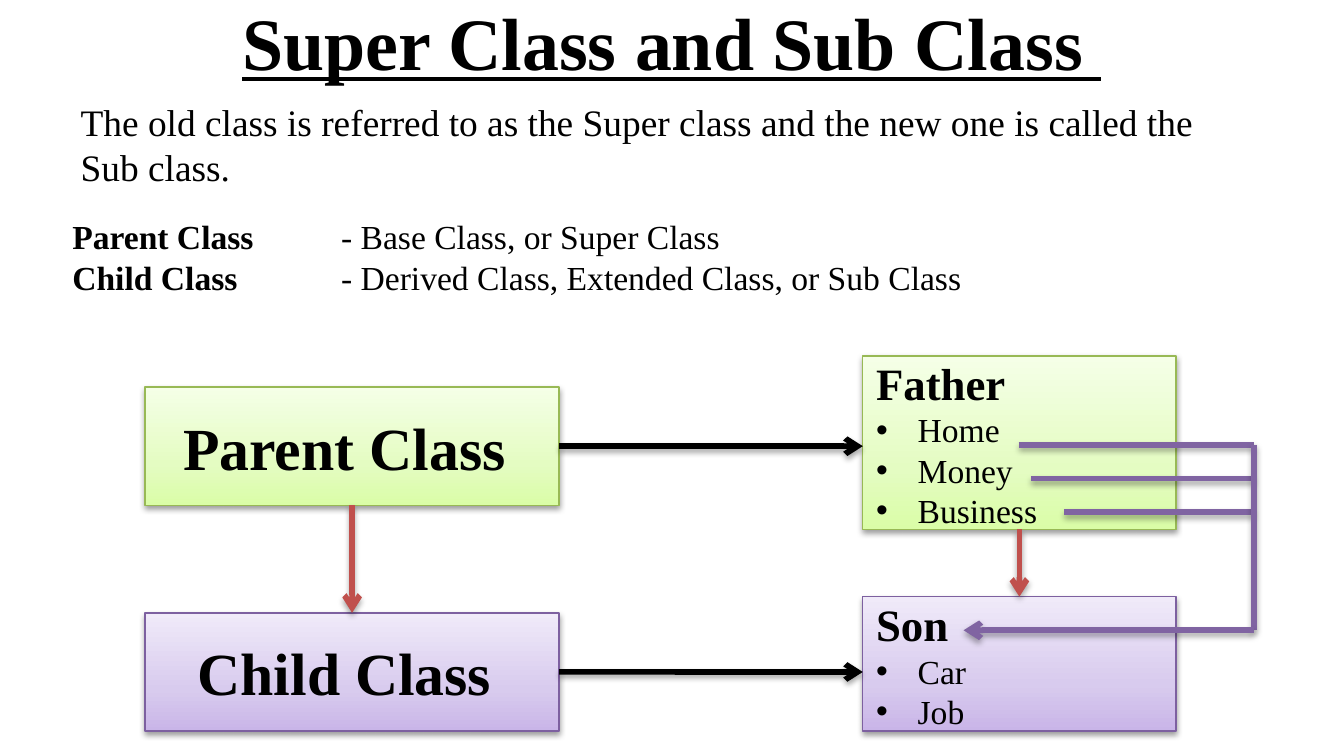
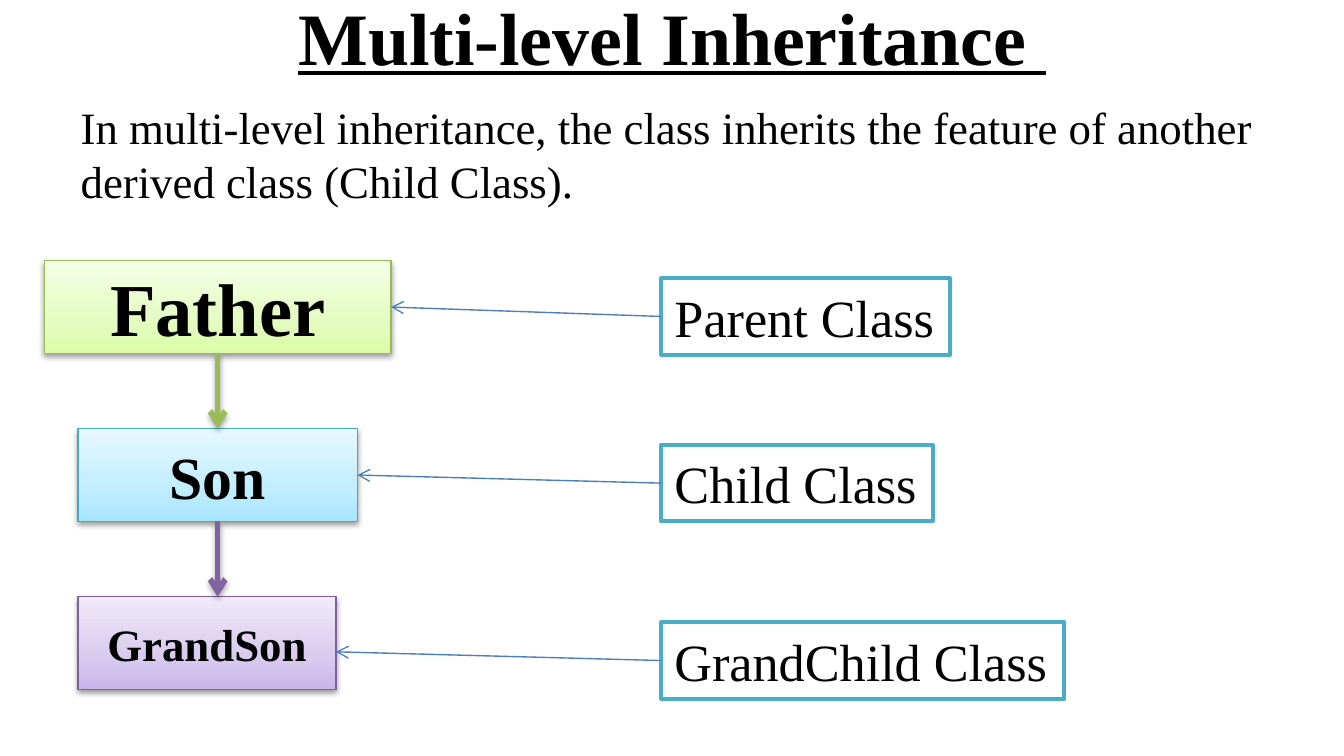
from lxml import etree
from pptx import Presentation
from pptx.dml.color import RGBColor
from pptx.enum.shapes import MSO_CONNECTOR, MSO_SHAPE
from pptx.enum.text import MSO_ANCHOR, MSO_AUTO_SIZE, PP_ALIGN
from pptx.oxml.ns import qn
from pptx.util import Inches, Pt

STRAIGHT = MSO_CONNECTOR.STRAIGHT
RECTANGLE = MSO_SHAPE.RECTANGLE
MIDDLE, TOP_ANCHOR = MSO_ANCHOR.MIDDLE, MSO_ANCHOR.TOP
NO_FIT, GROW = MSO_AUTO_SIZE.NONE, MSO_AUTO_SIZE.SHAPE_TO_FIT_TEXT
LEFT_ALIGN, CENTER = PP_ALIGN.LEFT, PP_ALIGN.CENTER
TOP, LEFT, BOTTOM, RIGHT = range(4)  # connection sites of a rectangle

SLIDE_WIDTH = Inches(10)
SLIDE_HEIGHT = SLIDE_WIDTH * 9 // 16
FONT = "Times New Roman"
COLORS = {
    "text": "000000", "white": "FFFFFF", "red": "C0504D", "green": "9BBB59",
    "purple": "8064A2", "blue": "4B7EBC", "teal": "4BACC6",
    "green edge": "98B955", "purple edge": "7D60A0", "sky edge": "46AAC5",
}
# Gradient colours from the bottom of a box to its top
GRADIENTS = {
    "green": ("DAFDA7", "E4FCC2", "F5FFE7"),
    "purple": ("C9B5E8", "D8CBEE", "F0EAF9"),
    "sky": ("A7E6FF", "C1EDFF", "E7F8FF"),
}
GRADIENT_STOPS = (0, 35000, 100000)


def color(name):
    return RGBColor.from_string(COLORS[name])


def add_xml(parent, tag, **attributes):
    return etree.SubElement(parent, qn(tag), attributes)


def add_gradient(shape, name):
    gradient = add_xml(shape._element.spPr, "a:gradFill", rotWithShape="1")
    stops = add_xml(gradient, "a:gsLst")
    for position, value in zip(GRADIENT_STOPS, GRADIENTS[name]):
        stop = add_xml(stops, "a:gs", pos=str(position))
        add_xml(stop, "a:srgbClr", val=value)
    add_xml(gradient, "a:lin", ang="16200000", scaled="0")


def add_shadow(shape, distance, opacity):
    effects = add_xml(shape._element.spPr, "a:effectLst")
    shadow = add_xml(effects, "a:outerShdw", blurRad="40000", dist=str(distance),
                     dir="5400000", rotWithShape="0")
    shade = add_xml(shadow, "a:srgbClr", val=COLORS["text"])
    add_xml(shade, "a:alpha", val=str(opacity * 1000))


def style(paragraph, size, bold=False, align=LEFT_ALIGN):
    paragraph.alignment = align
    font = paragraph.font
    font.name, font.size, font.bold = FONT, Pt(size), bold
    font.color.rgb = color("text")


def place(shape, left, top, width, height):
    shape.left, shape.top = Inches(left), Inches(top)
    shape.width, shape.height = Inches(width), Inches(height)


def add_slide(presentation, title, title_height, body, body_size, body_box):
    """Add a slide with an underlined title and a plain paragraph below it."""
    slide = presentation.slides.add_slide(presentation.slide_layouts[1])
    heading, text = slide.shapes.title, slide.placeholders[1]
    place(heading, 0.5, -0.06, 9, title_height)
    place(text, 0.5, 0.69, *body_box)
    for shape, words, anchor in ((heading, title, MIDDLE), (text, body, TOP_ANCHOR)):
        shape.text_frame.text = words
        shape.text_frame.auto_size = NO_FIT
        shape.text_frame.vertical_anchor = anchor

    paragraph = heading.text_frame.paragraphs[0]
    style(paragraph, 39.6, True, CENTER)
    paragraph.font.underline = True

    paragraph = text.text_frame.paragraphs[0]
    properties = paragraph._p.get_or_add_pPr()
    properties.set("marL", "0")
    properties.set("indent", "0")
    paragraph.space_before = Pt(0)
    add_xml(properties, "a:buNone")
    style(paragraph, body_size)
    return slide


def add_box(slide, box, theme, heading, size, items=()):
    """Add a gradient box: a centred heading, or a heading over a bullet list."""
    shape = slide.shapes.add_shape(RECTANGLE, *map(Inches, box))
    add_gradient(shape, theme)
    shape.line.color.rgb = color(theme + " edge")
    shape.line.width = Pt(0.75)
    add_shadow(shape, 20000, 38)
    frame = shape.text_frame
    frame.word_wrap = True
    frame.vertical_anchor = MIDDLE
    frame.text = heading
    style(frame.paragraphs[0], size, True, LEFT_ALIGN if items else CENTER)
    for item in items:
        paragraph = frame.add_paragraph()
        paragraph.text = item
        properties = paragraph._p.get_or_add_pPr()
        properties.set("marL", str(Inches(0.31)))
        properties.set("indent", str(-Inches(0.31)))
        add_xml(properties, "a:buFont", typeface="Arial")
        add_xml(properties, "a:buChar", char="•")
        style(paragraph, 18)
    return shape


def add_label(slide, top, width, words):
    shape = slide.shapes.add_shape(RECTANGLE, Inches(4.92), Inches(top),
                                   Inches(width), Inches(0.57))
    shape.shadow.inherit = False
    shape.fill.solid()
    shape.fill.fore_color.rgb = color("white")
    shape.line.color.rgb = color("teal")
    shape.line.width = Pt(2)
    frame = shape.text_frame
    frame.text = words
    frame.word_wrap = False
    frame.auto_size = GROW
    style(frame.paragraphs[0], 28)
    return shape


def add_definitions(slide, definitions):
    shape = slide.shapes.add_textbox(Inches(0.44), Inches(1.56), Inches(9), Inches(0.71))
    frame = shape.text_frame
    frame.word_wrap = True
    frame.auto_size = GROW
    for index, (term, meaning) in enumerate(definitions):
        paragraph = frame.add_paragraph() if index else frame.paragraphs[0]
        tabs = add_xml(paragraph._p.get_or_add_pPr(), "a:tabLst")
        add_xml(tabs, "a:tab", pos=str(Inches(2)), algn="l")
        style(paragraph, 18)
        run = paragraph.add_run()
        run.text = term + " \t"
        run.font.bold = True
        paragraph.add_run().text = meaning


def is_joined(end):
    return hasattr(end[0], "shape_id")


def point(end):
    """Return the place of an end given as (x, y) or as (shape, site)."""
    if not is_joined(end):
        return Inches(end[0]), Inches(end[1])
    shape, site = end
    across = {TOP: 1, LEFT: 0, BOTTOM: 1, RIGHT: 2}[site]
    down = {TOP: 0, LEFT: 1, BOTTOM: 2, RIGHT: 1}[site]
    return shape.left + shape.width * across // 2, shape.top + shape.height * down // 2


def add_line(slide, start, end, color_name, width=3, arrow=True):
    connector = slide.shapes.add_connector(STRAIGHT, *point(start), *point(end))
    if is_joined(start):
        connector.begin_connect(*start)
    if is_joined(end):
        connector.end_connect(*end)
    connector.line.color.rgb = color(color_name)
    connector.line.width = Pt(width)
    if arrow:
        add_xml(connector.line._get_or_add_ln(), "a:tailEnd", type="arrow")
    if width > 1:
        add_shadow(connector, 23000, 35)
    else:
        add_xml(connector._element.spPr, "a:effectLst")


def build_super_and_sub_class(presentation):
    slide = add_slide(
        presentation, "Super Class and Sub Class ", 0.73,
        "The old class is referred to as the Super class and the new one is "
        "called the Sub class.", 20, (8.92, 0.94))
    add_definitions(slide, (
        ("Parent Class", "- Base Class, or Super Class"),
        ("Child Class", "- Derived Class, Extended Class, or Sub Class"),
    ))

    # Classes on the left, family on the right
    parent = add_box(slide, (1.08, 2.88, 3.08, 0.88), "green", "Parent Class ", 32)
    child = add_box(slide, (1.08, 4.56, 3.08, 0.88), "purple", "Child Class ", 32)
    father = add_box(slide, (6.42, 2.65, 2.33, 1.29), "green", "Father", 24,
                     ("Home", "Money", "Business"))
    son = add_box(slide, (6.42, 4.44, 2.33, 1), "purple", "Son", 24, ("Car", "Job"))
    add_line(slide, (parent, BOTTOM), (child, TOP), "red")
    add_line(slide, (father, BOTTOM), (son, TOP), "red")

    # What the father owns passes to the son
    rail, first_item, son_heading = 9.33, 3.31, 4.69
    for index, item_end in enumerate((7.58, 7.67, 7.92)):
        height = first_item + 0.25 * index
        add_line(slide, (item_end, height), (rail, height), "purple", arrow=False)
    add_line(slide, (rail, first_item), (rail, son_heading), "purple", arrow=False)
    add_line(slide, (rail, son_heading), (7.17, son_heading), "purple")

    # Each class points level to its example
    add_line(slide, (parent, RIGHT), (6.42, 3.32), "text")
    add_line(slide, (child, RIGHT), (6.42, 5), "text")


def build_multi_level_inheritance(presentation):
    slide = add_slide(
        presentation, "Multi-level Inheritance ", 0.65,
        "In multi-level inheritance, the class inherits the feature of another "
        "derived class (Child Class).", 24, (9, 0.88))

    # Three generations
    father = add_box(slide, (0.33, 1.94, 2.58, 0.69), "green", "Father", 40)
    add_box(slide, (0.58, 4.44, 1.92, 0.69), "purple", "GrandSon", 24)
    son = add_box(slide, (0.58, 3.19, 2.08, 0.69), "sky", "Son", 32)
    add_line(slide, (father, BOTTOM), (son, TOP), "green")
    add_line(slide, (son, BOTTOM), (1.62, 4.44), "purple")

    # Role of each generation
    for top, width, words, target in (
        (2.07, 2.15, "Parent Class", (father, RIGHT)),
        (3.31, 2.02, "Child Class", (son, RIGHT)),
        (4.63, 3, "GrandChild Class", (2.5, 4.85)),
    ):
        label = add_label(slide, top, width, words)
        add_line(slide, (label, LEFT), target, "blue", 0.75)


def main():
    presentation = Presentation()
    presentation.slide_width, presentation.slide_height = SLIDE_WIDTH, SLIDE_HEIGHT
    build_super_and_sub_class(presentation)
    build_multi_level_inheritance(presentation)
    presentation.save("out.pptx")


if __name__ == "__main__":
    main()
